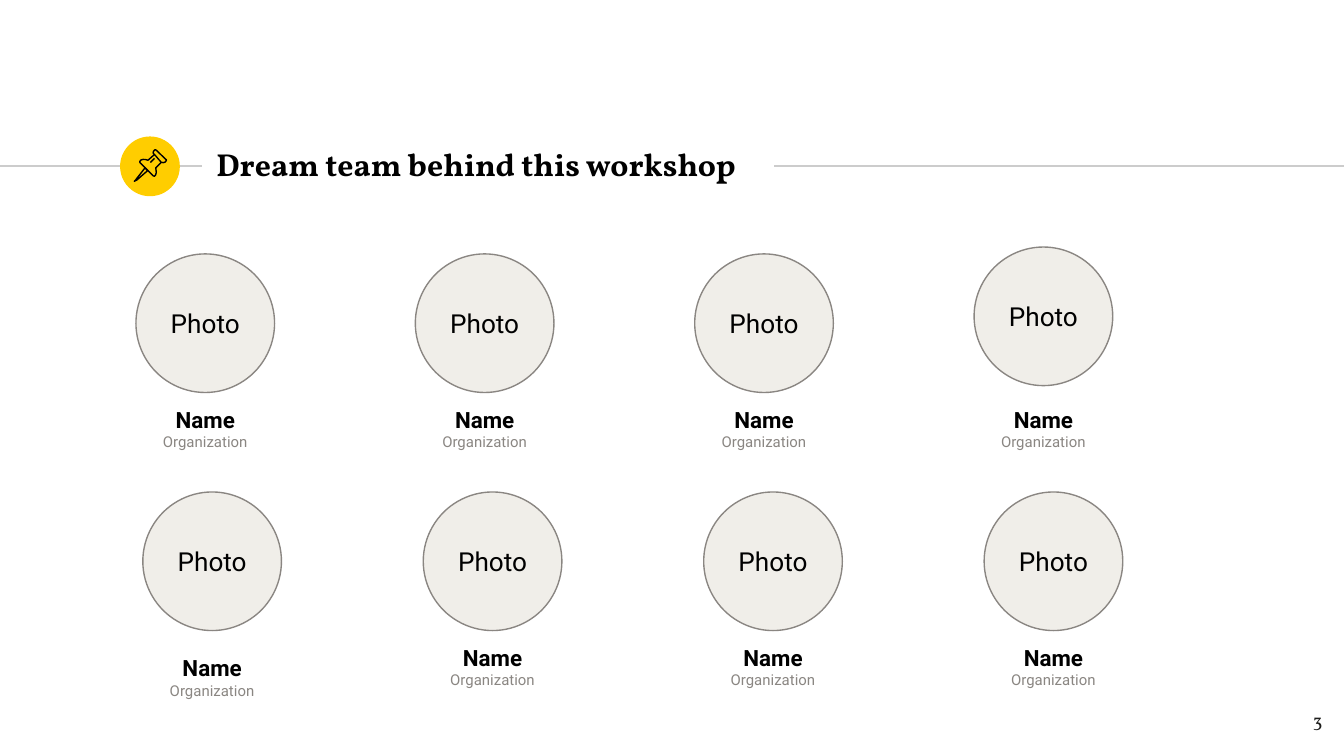
from dataclasses import dataclass

from lxml import etree
from pptx import Presentation
from pptx import util as u
from pptx.dml.color import RGBColor
from pptx.enum import shapes, text
from pptx.oxml import ns

Cm = u.Cm
BLACK, GREY, RULE = "000000", "8A8682", "CCCCCC"
YELLOW, CREAM, INK = "FFCD00", "F0EEE9", "1D1D1B"
SANS, SERIF = "Roboto", "Vollkorn"
INSET = 0.25
PHOTO_SIZE = 2.62
PHOTO_TEXT = (2.1, 1.09)
LABEL_SIZE = (3.96, 1.22)
PIN_UNIT = Cm(0.00254)


@dataclass
class Span:
    words: str
    size: float
    font: str = SANS
    colour: str = BLACK
    bold: bool = False


@dataclass
class Member:
    """A team member: centre line, photo top and label top in cm."""
    centre: float
    photo_top: float
    label_top: float


@dataclass
class Stroke:
    """One outline of the pin icon."""
    points: list[tuple[int, int]]
    closed: bool = False


PIN = [
    Stroke([(1080, 1250), (1010, 1340), (1000, 1350), (1020, 1340),
            (1100, 1270)], closed=True),
    Stroke([(1150, 1150), (1200, 1208), (1215, 1211), (1229, 1208),
            (1237, 1198), (1240, 1190), (1235, 1187), (1163, 1118),
            (1156, 1115), (1150, 1118), (1143, 1128), (1140, 1140)], closed=True),
    Stroke([(1150, 1150), (1102, 1193), (1085, 1188), (1065, 1187),
            (1048, 1192), (1040, 1203), (1042, 1210), (1142, 1310),
            (1150, 1312), (1158, 1304), (1164, 1285), (1160, 1250),
            (1202, 1208)]),
    Stroke([(1120, 1210), (1150, 1180)]),
]

upper_row = [Member(3.88 + 5.28 * i, 4.8, 7.67) for i in range(4)]
upper_row[3].photo_top = 4.67
lower_row = [Member(4.01 + 5.3 * i, 9.3, 12.17) for i in range(4)]
lower_row[0].label_top = 12.37


def rgb(colour: str) -> RGBColor:
    return RGBColor.from_string(colour)


def set_line(item, colour: str) -> None:
    item.line.color.rgb = rgb(colour)
    item.line.width = u.Pt(0.75)


def add_rule(page, start: float, end: float, y: float) -> None:
    rule = page.shapes.add_connector(
        shapes.MSO_CONNECTOR.STRAIGHT, Cm(start), Cm(y), Cm(end), Cm(y))
    set_line(rule, RULE)
    etree.SubElement(rule._element.spPr, ns.qn("a:effectLst"))


def add_circle(parent, left: float, top: float, size: float,
               fill: str, line: str | None = None) -> None:
    circle = parent.shapes.add_shape(
        shapes.MSO_SHAPE.OVAL, Cm(left), Cm(top), Cm(size), Cm(size))
    circle.shadow.inherit = False
    circle.fill.solid()
    circle.fill.fore_color.rgb = rgb(fill)
    if line:
        set_line(circle, line)
    else:
        circle.line.fill.background()


def add_text(parent, left: float, top: float, width: float, height: float,
             spans: list[Span], align=text.PP_ALIGN.CENTER,
             anchor=text.MSO_ANCHOR.TOP, inset: float = INSET) -> None:
    """Add one paragraph, with a line break between spans."""
    box = parent.shapes.add_textbox(Cm(left), Cm(top), Cm(width), Cm(height))
    frame = box.text_frame
    frame.word_wrap = True
    frame.vertical_anchor = anchor
    frame.margin_left = frame.margin_right = Cm(inset)
    frame.margin_top = frame.margin_bottom = Cm(inset)
    para = frame.paragraphs[0]
    para.alignment = align
    for index, span in enumerate(spans):
        if index:
            para.add_line_break()
        run = para.add_run()
        run.text = span.words
        run.font.size = u.Pt(span.size)
        run.font.name = span.font
        run.font.bold = span.bold
        run.font.color.rgb = rgb(span.colour)


def add_pin(page) -> None:
    group = page.shapes.add_group_shape()
    for stroke in PIN:
        builder = group.shapes.build_freeform(*stroke.points[0], scale=PIN_UNIT)
        builder.add_line_segments(stroke.points[1:], close=stroke.closed)
        outline = builder.convert_to_shape()
        outline.shadow.inherit = False
        outline.fill.background()
        set_line(outline, BLACK)


def add_member(page, member: Member) -> None:
    photo = page.shapes.add_group_shape()
    add_circle(photo, member.centre - PHOTO_SIZE / 2, member.photo_top,
               PHOTO_SIZE, CREAM, GREY)
    width, height = PHOTO_TEXT
    add_text(photo, member.centre - width / 2,
             member.photo_top + (PHOTO_SIZE - height) / 2, width, height,
             [Span("Photo", 14)])
    width, height = LABEL_SIZE
    add_text(page, member.centre - width / 2, member.label_top, width, height,
             [Span("Name", 12, bold=True), Span("Organization", 8, colour=GREY)],
             inset=0)


def main() -> None:
    deck = Presentation()
    deck.slide_width, deck.slide_height = Cm(25.4), Cm(14.29)
    page = deck.slides.add_slide(deck.slide_layouts[6])

    add_rule(page, 0, 3.82, 3.14)
    add_circle(page, 2.27, 2.58, 1.13, YELLOW)
    add_rule(page, 14.63, 25.4, 3.14)
    add_pin(page)
    add_text(page, 3.84, 2.49, 10.77, 1.22,
             [Span("Dream team behind this workshop", 17, SERIF, bold=True)],
             align=text.PP_ALIGN.LEFT, anchor=text.MSO_ANCHOR.MIDDLE)
    for member in upper_row + lower_row:
        add_member(page, member)
    add_text(page, 23.72, 13.18, 1.52, 1.09, [Span("3", 10, SERIF, INK)],
             align=text.PP_ALIGN.RIGHT)
    deck.save("out.pptx")


if __name__ == "__main__":
    main()
